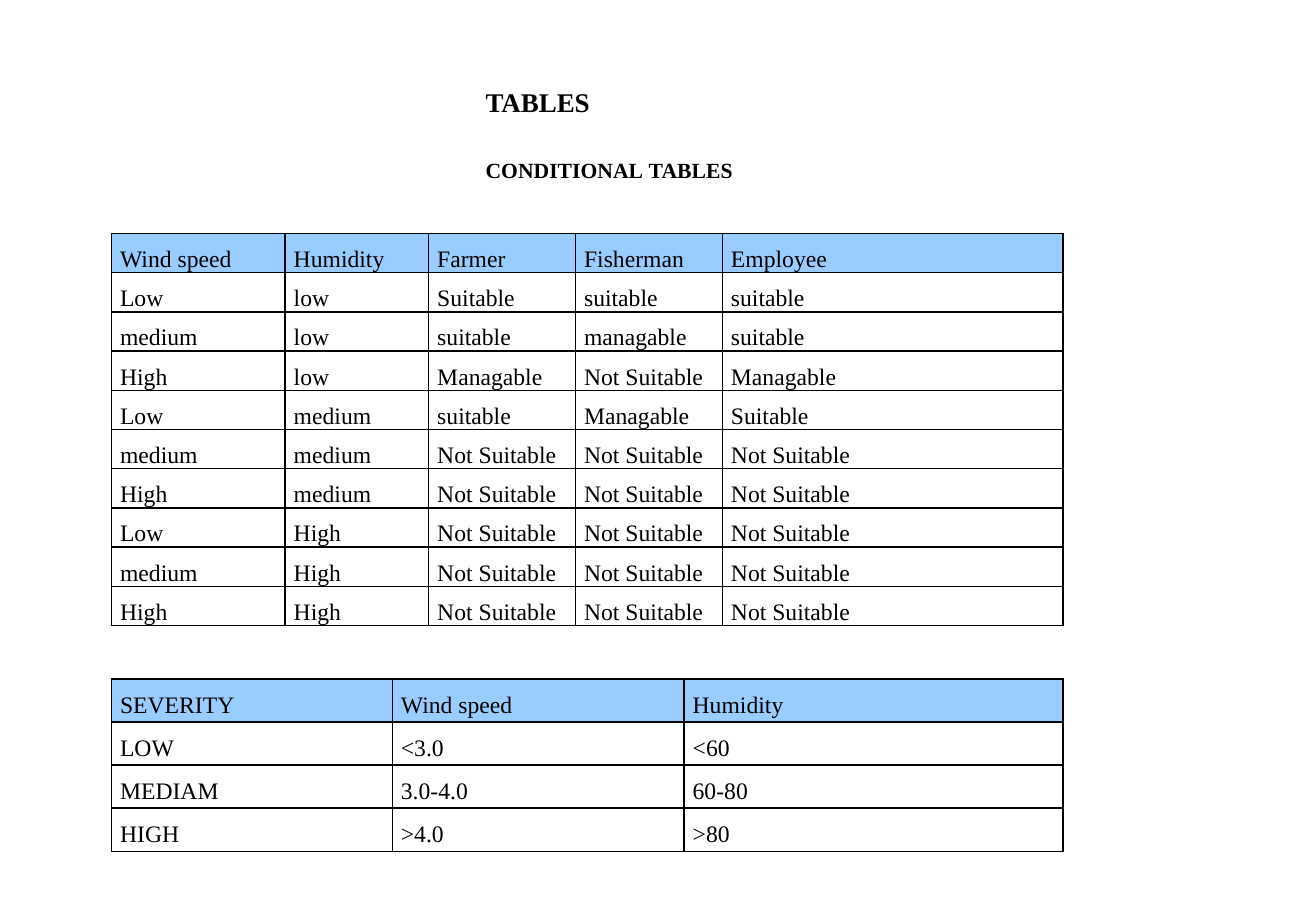
from lxml.etree import SubElement
from pptx import Presentation
from pptx.dml.color import RGBColor
from pptx.enum.text import MSO_ANCHOR, MSO_AUTO_SIZE, PP_ALIGN
from pptx.oxml.ns import qn
from pptx.util import Cm, Pt

COLORS = {"text": "000000", "border": "000000", "header": "99CCFF"}
FONT = "Times New Roman"

CONDITIONS = [
    ["Wind speed", "Humidity", "Farmer", "Fisherman", "Employee"],
    ["Low", "low", "Suitable", "suitable", "suitable"],
    ["medium", "low", "suitable", "managable", "suitable"],
    ["High", "low", "Managable", "Not Suitable", "Managable"],
    ["Low", "medium", "suitable", "Managable", "Suitable"],
    ["medium", "medium"] + ["Not Suitable"] * 3,
    ["High", "medium"] + ["Not Suitable"] * 3,
    ["Low", "High"] + ["Not Suitable"] * 3,
    ["medium", "High"] + ["Not Suitable"] * 3,
    ["High", "High"] + ["Not Suitable"] * 3,
]
SEVERITIES = [
    ["SEVERITY", "Wind speed", "Humidity"],
    ["LOW", "<3.0", "<60"],
    ["MEDIAM", "3.0-4.0", "60-80"],
    ["HIGH", ">4.0", ">80"],
]


def format_run(r, size, bold=False):
    r.font.name = FONT
    r.font.size = Pt(size)
    r.font.bold = bold
    r.font.color.rgb = RGBColor.from_string(COLORS["text"])


def add_title(s, left, top, width, height):
    """Place the heading, indented towards the middle, above the subheading."""
    title = s.shapes.title
    title.left, title.top, title.width, title.height = left, top, width, height
    tf = title.text_frame
    tf.auto_size = MSO_AUTO_SIZE.NONE
    tf.vertical_anchor = MSO_ANCHOR.BOTTOM
    tf.margin_left = tf.margin_right = Cm(0.3)
    tf.margin_top, tf.margin_bottom = Cm(0.15), Cm(0.8)
    tf.text = "TABLES\nconditional tables"
    for p in tf.paragraphs:
        p.alignment = PP_ALIGN.LEFT
        p.line_spacing = 1.0
        p.space_before = Pt(0)
        r = p.runs[0]
        format_run(r, 16, bold=True)
        r.font._element.set("cap", "small")
    heading = tf.paragraphs[0]
    heading.space_after = Pt(20)
    heading._p.get_or_add_pPr().set("marL", str(Cm(8.48)))


def add_borders(cell):
    tcPr = cell._tc.get_or_add_tcPr()
    for side in ("a:lnL", "a:lnR", "a:lnT", "a:lnB"):
        ln = SubElement(tcPr, qn(side), w=str(Pt(1)))
        fill = SubElement(ln, qn("a:solidFill"))
        SubElement(fill, qn("a:srgbClr"), val=COLORS["border"])


def add_grid(s, left, top, col_widths, row_height, rows):
    """Add a bordered table whose first row is shaded."""
    table = s.shapes.add_table(
        len(rows), len(col_widths), left, top,
        sum(col_widths), row_height * len(rows)).table
    table.first_row = table.horz_banding = False
    for column, width in zip(table.columns, col_widths):
        column.width = width
    for i, values in enumerate(rows):
        table.rows[i].height = row_height
        for j, value in enumerate(values):
            cell = table.cell(i, j)
            add_borders(cell)
            if i == 0:
                cell.fill.solid()
                cell.fill.fore_color.rgb = RGBColor.from_string(COLORS["header"])
            else:
                cell.fill.background()
            cell.margin_left = cell.margin_right = Cm(0.18)
            cell.margin_top = cell.margin_bottom = 0
            p = cell.text_frame.paragraphs[0]
            p.text = value
            p.line_spacing = 1.5
            format_run(p.runs[0], 14)


def main():
    prs = Presentation()
    prs.slide_width, prs.slide_height = Cm(27.51), Cm(19.05)
    s = prs.slides.add_slide(prs.slide_layouts[5])
    add_title(s, Cm(1.37), Cm(0.76), Cm(22.48), Cm(3.89))
    left = Cm(2.33)
    add_grid(s, left, Cm(4.88), [Cm(w) for w in (3.63, 3, 3.07, 3.07, 7.12)],
             Cm(0.82), CONDITIONS)
    add_grid(s, left, Cm(14.2), [Cm(w) for w in (5.87, 6.1, 7.92)],
             Cm(0.9), SEVERITIES)
    prs.save("out.pptx")


if __name__ == "__main__":
    main()
